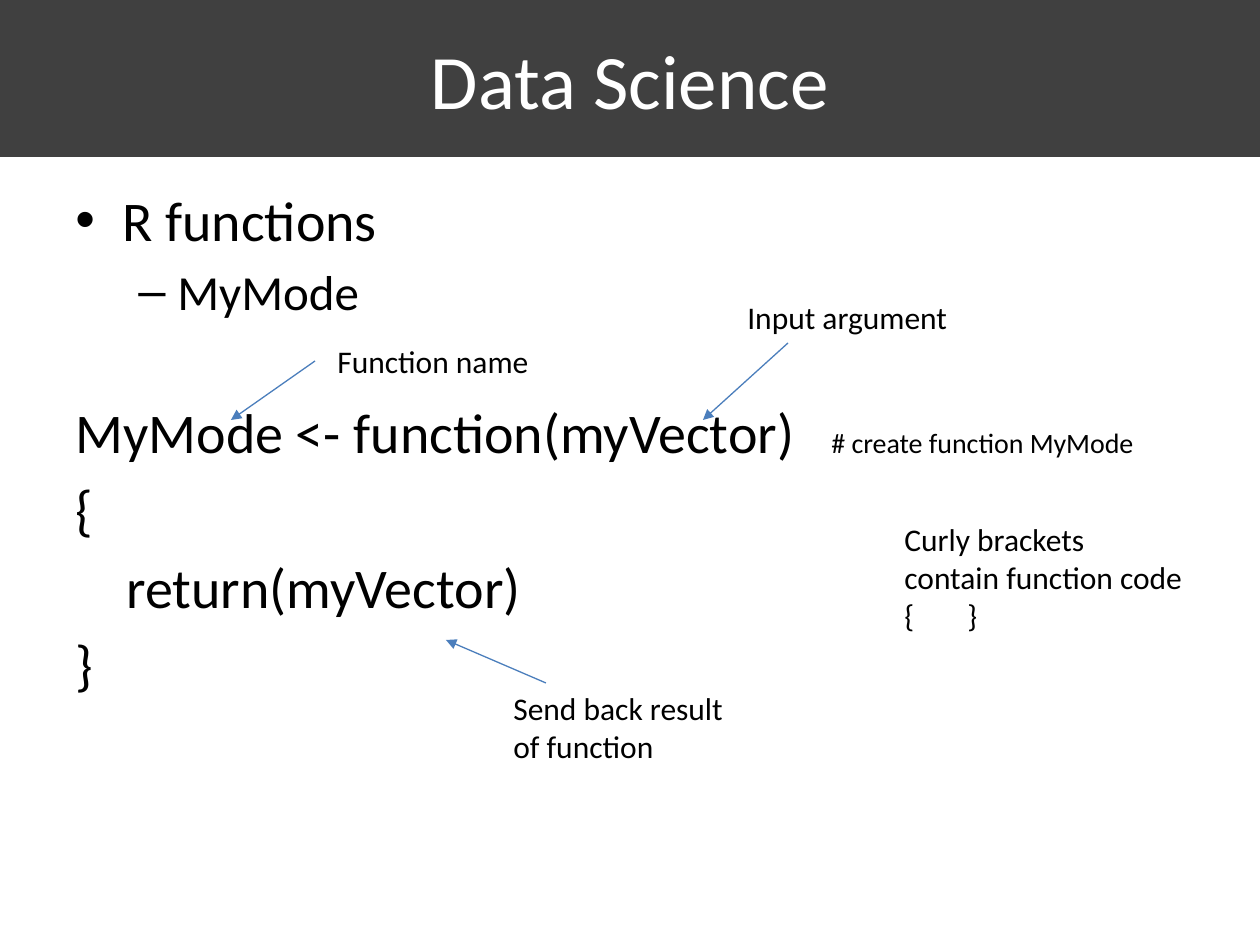
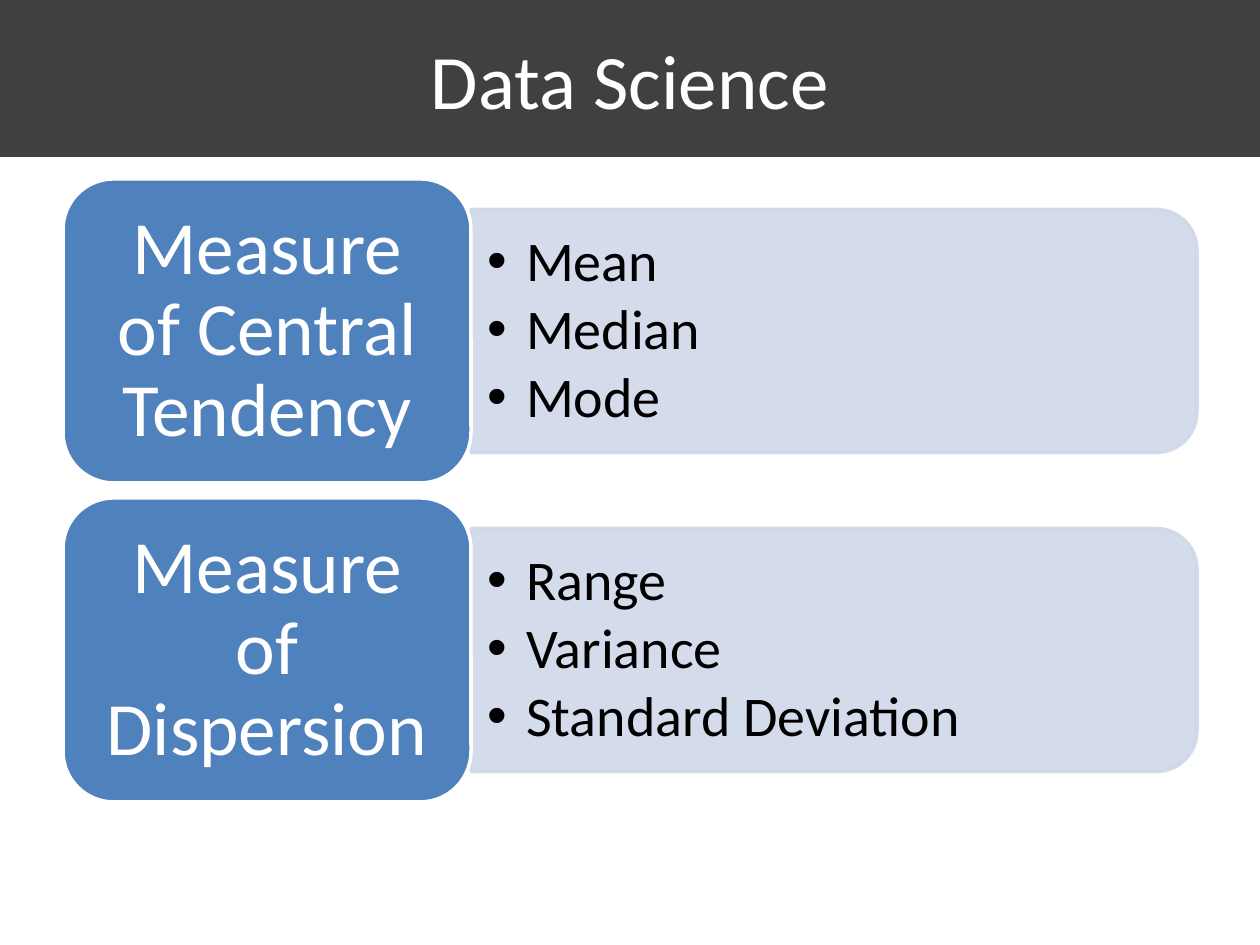
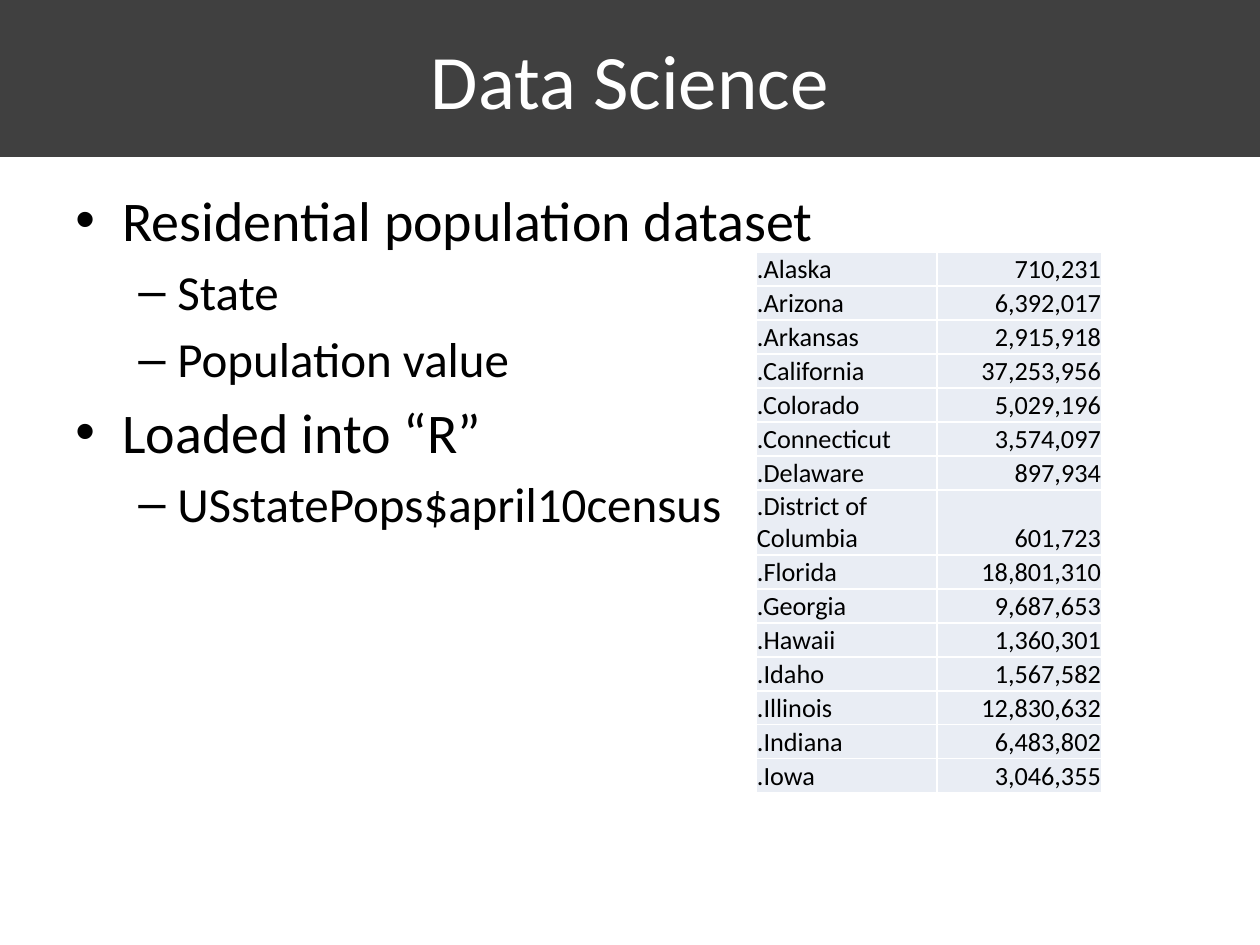
"""Build three Data Science slides: an R function, two measure groups, a population table."""
from dataclasses import dataclass

from lxml import etree
from pptx import Presentation
from pptx import util as u
from pptx.dml.color import RGBColor
from pptx.enum import shapes, text
from pptx.oxml.ns import qn

TITLE = "Data Science"
CODE = [
    ("top", ["R functions"]),
    ("sub", ["MyMode"]),
    ("head", ["MyMode <- function(myVector)", ("\t# create function MyMode", 16)]),
    ("code", ["{"]),
    ("inner", ["return(myVector)"]),
    ("code", ["}"]),
]
NOTES = [
    ((325, 336, 242, 50), [("note", ["Function name"])]),
    ((735, 292, 242, 50), [("note", ["Input argument"])]),
    ((501, 683, 242, 89), [("note", ["Send back result of function"])]),
    ((892, 514, 305, 127), [("note", ["Curly brackets contain function code"]),
                            ("pair", ["{\t}"])]),
]
ARROWS = [(315, 361, 231, 420), (788, 343, 703, 420), (546, 683, 446, 640)]
GROUPS = [
    ("Measure of Central Tendency", ["Mean", "Median", "Mode"]),
    ("Measure of Dispersion", ["Range", "Variance", "Standard Deviation"]),
]
DATA = [
    ("top", ["Residential population dataset"]),
    ("sub", ["State"]),
    ("sub", ["Population value"]),
    ("top", ["Loaded into “R”"]),
    ("sub", ["USstatePops$april10census"]),
]
STATES = [
    (".Alaska", "710,231"), (".Arizona", "6,392,017"), (".Arkansas", "2,915,918"),
    (".California", "37,253,956"), (".Colorado", "5,029,196"),
    (".Connecticut", "3,574,097"), (".Delaware", "897,934"),
    (".District of Columbia", "601,723"), (".Florida", "18,801,310"),
    (".Georgia", "9,687,653"), (".Hawaii", "1,360,301"), (".Idaho", "1,567,582"),
    (".Illinois", "12,830,632"), (".Indiana", "6,483,802"), (".Iowa", "3,046,355"),
]


@dataclass(frozen=True)
class Style:
    """Hold the look of one kind of paragraph."""
    size: float
    color: str = "000000"
    left: int = 0
    hang: int = 0
    mark: str = ""
    level: int = 0
    before: float = 0
    after: float = 0
    line: float = 1
    tab: int = 0
    align: str = "LEFT"


class Theme:
    """Keep fonts, colours and paragraph styles."""
    font = "Calibri"
    band, white, blue, pale = "404040", "FFFFFF", "4F81BD", "D0D8E8"
    arrow, cell = "4B7EBC", "E9EDF4"
    styles = {
        "title": Style(44, "FFFFFF", align="CENTER"),
        "top": Style(32, left=47, hang=47, mark="•", before=5.7),
        "sub": Style(28, left=102, hang=39, mark="–", level=1, before=5),
        "head": Style(32, before=44.5, tab=783),
        "code": Style(32, before=5.7),
        "inner": Style(32, left=51, before=5.7),
        "note": Style(18),
        "pair": Style(18, tab=68),
        "card": Style(43, "FFFFFF", line=0.9, align="CENTER"),
        "item": Style(32, left=39, hang=39, mark="•", level=1, after=4.3, line=0.9),
        "name": Style(15),
        "count": Style(15, align="RIGHT"),
    }


def px(n):
    return u.Emu(round(n * 914400 / 126))


def rgb(code):
    return RGBColor.from_string(code)


def sub(node, tag, **attrs):
    return etree.SubElement(node, qn(tag), {k: str(v) for k, v in attrs.items()})


def write(frame, paras, anchor="TOP", pads=None):
    frame.word_wrap = True
    frame.vertical_anchor = text.MSO_ANCHOR[anchor]
    if pads:
        (frame.margin_left, frame.margin_top,
         frame.margin_right, frame.margin_bottom) = map(px, pads)
    for i, (kind, runs) in enumerate(paras):
        look = Theme.styles[kind]
        para = frame.add_paragraph() if i else frame.paragraphs[0]
        para.alignment = text.PP_ALIGN[look.align]
        para.level = look.level
        para.line_spacing = look.line
        para.space_before, para.space_after = u.Pt(look.before), u.Pt(look.after)
        props = para._p.get_or_add_pPr()
        props.set("marL", str(px(look.left)))
        props.set("indent", str(px(-look.hang)))
        if look.mark:
            sub(props, "a:buFont", typeface="Arial")
            sub(props, "a:buChar", char=look.mark)
        if look.tab:
            sub(sub(props, "a:tabLst"), "a:tab", pos=px(look.tab), algn="l")
        for part in runs:
            words, size = part if isinstance(part, tuple) else (part, look.size)
            run = para.add_run()
            run.text = words
            run.font.name, run.font.size = Theme.font, u.Pt(size)
            run.font.color.rgb = rgb(look.color)


def label(slide, box, paras, **kw):
    write(slide.shapes.add_textbox(*map(px, box)).text_frame, paras, **kw)


def block(slide, kind, box, fill, line=None):
    shape = slide.shapes.add_shape(shapes.MSO_SHAPE[kind], *map(px, box))
    shape.shadow.inherit = False
    shape.fill.solid()
    shape.fill.fore_color.rgb = rgb(fill)
    if line:
        shape.line.color.rgb, shape.line.width = rgb(line), u.Pt(2)
    else:
        shape.line.fill.background()
    return shape


def arrow(slide, ends):
    link = slide.shapes.add_connector(shapes.MSO_CONNECTOR.STRAIGHT, *map(px, ends))
    link.line.color.rgb, link.line.width = rgb(Theme.arrow), u.Pt(0.75)
    sub(link.line._get_or_add_ln(), "a:tailEnd", type="triangle")
    sub(link._element.spPr, "a:effectLst")


def group(slide, top, head, items):
    left, wide, tall = 63, 408, 304
    long, short = 726, 243
    edge, mid = left + wide, top + tall / 2
    panel = block(slide, "ROUND_2_SAME_RECTANGLE",
                  (edge + (long - short) / 2, mid - long / 2, short, long),
                  Theme.pale, Theme.pale)
    panel.rotation = 90
    for tint in panel._element.spPr.iter(qn("a:srgbClr")):
        sub(tint, "a:alpha", val=90000)
    label(slide, (edge, mid - 110, 714, 220), [("item", [t]) for t in items],
          anchor="MIDDLE", pads=(16, 9, 16, 9))
    card = block(slide, "ROUNDED_RECTANGLE", (left, top, wide, tall),
                 Theme.blue, Theme.white)
    write(card.text_frame, [("card", [head])], anchor="MIDDLE", pads=(23, 11, 23, 11))


def grid(slide, rows):
    cols = (181, 165)
    highs = [65 if len(name) > 15 else 34 for name, _ in rows]
    table = slide.shapes.add_table(len(rows), len(cols), px(756), px(252),
                                   px(sum(cols)), px(sum(highs))).table
    table.first_row = table.horz_banding = False
    for col, wide in zip(table.columns, cols):
        col.width = px(wide)
    for r, (row, high) in enumerate(zip(rows, highs)):
        table.rows[r].height = px(high)
        for c, (kind, words) in enumerate(zip(("name", "count"), row)):
            cell = table.cell(r, c)
            write(cell.text_frame, [(kind, [words])])
            cell.vertical_anchor = text.MSO_ANCHOR.BOTTOM
            cell.margin_left = cell.margin_right = cell.margin_top = px(1)
            cell.margin_bottom = 0
            props = cell._tc.get_or_add_tcPr()
            for side in ("a:lnL", "a:lnR", "a:lnT", "a:lnB"):
                rule = sub(props, side, w=u.Pt(1))
                sub(sub(rule, "a:solidFill"), "a:srgbClr", val=Theme.white)
            cell.fill.solid()
            cell.fill.fore_color.rgb = rgb(Theme.cell)


def page(deck):
    slide = deck.slides.add_slide(deck.slide_layouts[6])
    band = block(slide, "RECTANGLE", (0, 0, 1260, 157), Theme.band)
    write(band.text_frame, [("title", [TITLE])], anchor="MIDDLE")
    return slide


def main():
    deck = Presentation()
    deck.slide_width, deck.slide_height = px(1260), px(945)

    slide = page(deck)
    label(slide, (63, 179, 1134, 665), CODE)
    for box, paras in NOTES:
        label(slide, box, paras)
    for ends in ARROWS:
        arrow(slide, ends)

    slide = page(deck)
    for i, (head, items) in enumerate(GROUPS):
        group(slide, 179 + 319 * i, head, items)

    slide = page(deck)
    label(slide, (63, 179, 1134, 624), DATA)
    grid(slide, STATES)

    deck.save("out.pptx")


if __name__ == "__main__":
    main()
